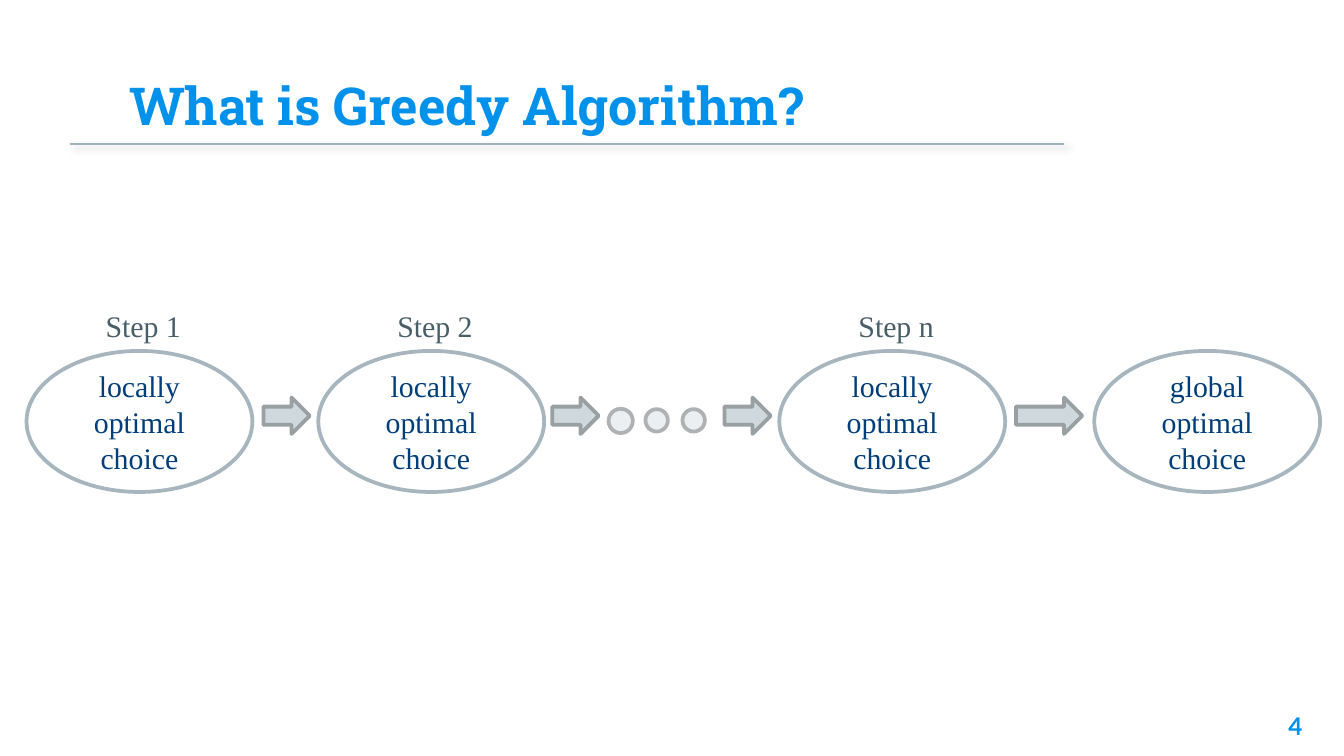
from dataclasses import dataclass

from lxml.etree import SubElement
from pptx import Presentation
from pptx.dml.color import RGBColor
from pptx.enum.shapes import MSO_CONNECTOR, MSO_SHAPE
from pptx.enum.text import MSO_ANCHOR, MSO_AUTO_SIZE, PP_ALIGN
from pptx.oxml.ns import qn
from pptx.util import Pt


@dataclass(frozen=True)
class Theme:
    accent: str = "0091EA"
    rule: str = "9DB2BC"
    choice_fill: str = "FFFFFF"
    choice_line: str = "A7B5BE"
    choice_text: str = "003E7A"
    step_text: str = "485E68"
    arrow_fill: str = "CFD8DC"
    arrow_line: str = "99A0A3"
    dot_fill: str = "ECEFF1"
    dot_line: str = "AFB1B2"
    title_font: str = "Roboto Slab"
    number_font: str = "Lato"
    diagram_font: str = "Times New Roman"
    title_size: float = 28
    diagram_size: float = 16
    number_size: float = 13


THEME = Theme()

# Diagram geometry in points
CHOICE_TOP, CHOICE_WIDTH, CHOICE_HEIGHT = 188, 121, 75.6
LABEL_INDENT, LABEL_TOP = 35.3, 161.3
ARROW_TOP, ARROW_HEIGHT = 213, 19.5
CHOICES = [
    (14.2, "Step 1", "locally optimal choice"),
    (170.5, "Step 2", "locally optimal choice"),
    (417.5, "Step n", "locally optimal choice"),
    (586.2, None, "global optimal choice"),
]
ARROWS = [(141.1, 24.8), (295.9, 24.8), (388.1, 24.8), (544.3, 35.5)]
DOTS = [(326, 219, 13), (345.8, 219.2, 12), (365.6, 219.2, 12)]


def apply_format(target, values):
    for attribute, value in values.items():
        setattr(target, attribute, value)


def write(shape, text, font, size, color, bold=False,
          align=PP_ALIGN.LEFT, **frame_format):
    """Put one formatted paragraph into a shape."""
    frame = shape.text_frame
    apply_format(frame, {"word_wrap": True, "auto_size": MSO_AUTO_SIZE.NONE,
                         **frame_format})
    frame.text = text
    paragraph = frame.paragraphs[0]
    paragraph.alignment = align
    apply_format(paragraph.font, {"name": font, "size": Pt(size), "bold": bold})
    paragraph.font.color.rgb = RGBColor.from_string(color)


def insets(points):
    sides = ("margin_left", "margin_top", "margin_right", "margin_bottom")
    return {side: Pt(points) for side in sides}


def add_outlined(slide, kind, left, top, width, height, fill, line):
    shape = slide.shapes.add_shape(kind, Pt(left), Pt(top), Pt(width), Pt(height))
    shape.shadow.inherit = False
    shape.fill.solid()
    shape.fill.fore_color.rgb = RGBColor.from_string(fill)
    shape.line.color.rgb = RGBColor.from_string(line)
    shape.line.width = Pt(2)
    return shape


def add_title(slide, text):
    title = slide.shapes.title
    apply_format(title, {"left": Pt(62), "top": Pt(24.5),
                         "width": Pt(596), "height": Pt(55.5)})
    write(title, text, THEME.title_font, THEME.title_size, THEME.accent, bold=True,
          vertical_anchor=MSO_ANCHOR.BOTTOM, **insets(7.2))


def add_rule(slide):
    rule = slide.shapes.add_connector(
        MSO_CONNECTOR.STRAIGHT, Pt(37.5), Pt(77.1), Pt(570), Pt(77.1))
    rule.line.color.rgb = RGBColor.from_string(THEME.rule)
    rule.line.width = Pt(0.75)
    # Soft shadow falling to the lower right
    effects = SubElement(rule._element.spPr, qn("a:effectLst"))
    shadow = SubElement(effects, qn("a:outerShdw"), blurRad=str(Pt(4)),
                        dist=str(Pt(3)), dir="2700000", algn="tl", rotWithShape="0")
    color = SubElement(shadow, qn("a:srgbClr"), val="000000")
    SubElement(color, qn("a:alpha"), val="40000")


def add_text(slide, left, top, width, height, text, *style, **options):
    box = slide.shapes.add_textbox(Pt(left), Pt(top), Pt(width), Pt(height))
    write(box, text, *style, **options)


def add_choice(slide, left, step, text):
    choice = add_outlined(slide, MSO_SHAPE.OVAL, left, CHOICE_TOP, CHOICE_WIDTH,
                          CHOICE_HEIGHT, THEME.choice_fill, THEME.choice_line)
    write(choice, text, THEME.diagram_font, THEME.diagram_size, THEME.choice_text,
          align=PP_ALIGN.CENTER, vertical_anchor=MSO_ANCHOR.MIDDLE)
    if step:
        add_text(slide, left + LABEL_INDENT, LABEL_TOP, 62, 26.6, step,
                 THEME.diagram_font, THEME.diagram_size, THEME.step_text)


def main():
    deck = Presentation()
    apply_format(deck, {"slide_width": Pt(720), "slide_height": Pt(405)})
    slide = deck.slides.add_slide(deck.slide_layouts[5])

    # Heading and page number
    add_title(slide, "What is Greedy Algorithm?")
    add_text(slide, 661.7, 373.7, 43.2, 31, "4", THEME.number_font,
             THEME.number_size, THEME.accent, bold=True,
             align=PP_ALIGN.RIGHT, **insets(7.2))
    add_rule(slide)

    # Choices with their step labels
    for left, step, text in CHOICES:
        add_choice(slide, left, step, text)

    # Arrows between the choices
    for left, width in ARROWS:
        add_outlined(slide, MSO_SHAPE.RIGHT_ARROW, left, ARROW_TOP, width,
                     ARROW_HEIGHT, THEME.arrow_fill, THEME.arrow_line)

    # Dots for the steps left out
    for left, top, size in DOTS:
        add_outlined(slide, MSO_SHAPE.OVAL, left, top, size, size,
                     THEME.dot_fill, THEME.dot_line)

    deck.save("out.pptx")


if __name__ == "__main__":
    main()
